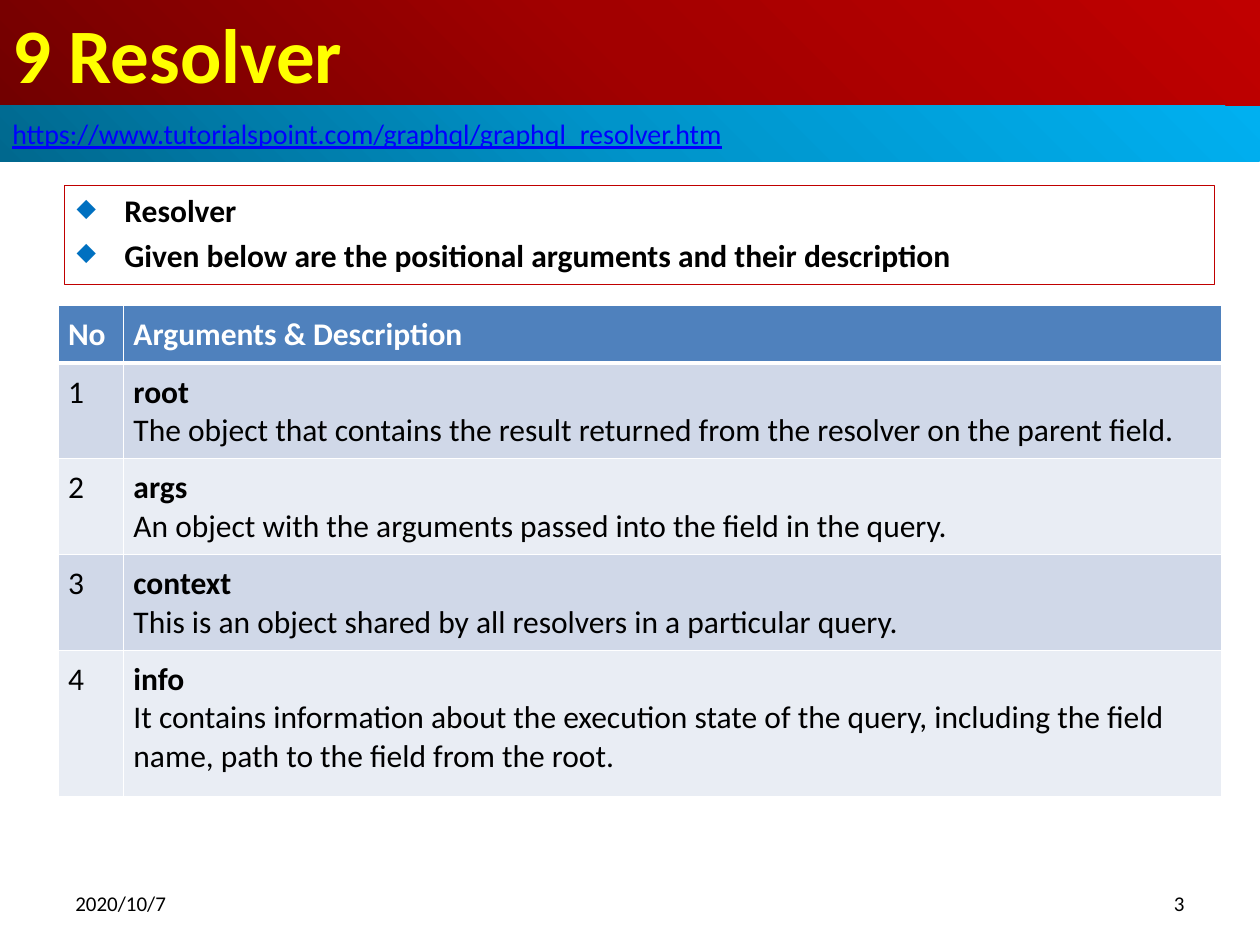
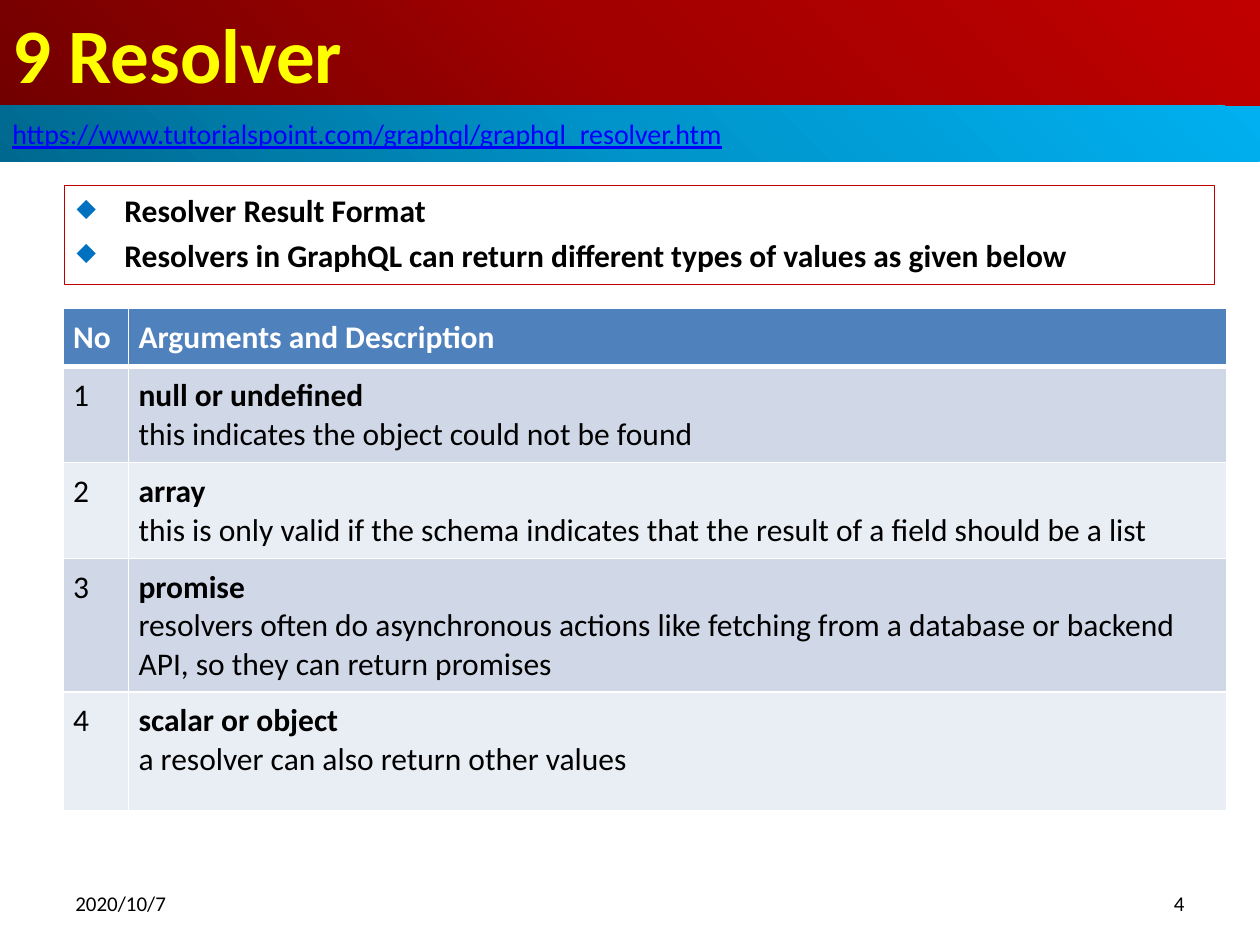
from dataclasses import dataclass

from lxml.etree import SubElement
from pptx import Presentation
from pptx.dml.color import RGBColor
from pptx.enum.shapes import MSO_SHAPE
from pptx.enum.text import MSO_ANCHOR, PP_ALIGN
from pptx.oxml import parse_xml
from pptx.oxml.ns import nsdecls, qn
from pptx.util import Inches, Pt

TITLE = "9 Resolver"
ADDRESS = "https://www.tutorialspoint.com/graphql/graphql_resolver.htm"
DATE = "2020/10/7"
FIRST_PAGE = 3

SLIDES = [
    {
        "points": ["Resolver",
                   "Given below are the positional arguments and their description"],
        "header": ("No", "Arguments & Description"),
        "rows": [
            ("root", "The object that contains the result returned from the resolver "
                     "on the parent field."),
            ("args", "An object with the arguments passed into the field in the query."),
            ("context", "This is an object shared by all resolvers in a particular query."),
            ("info", "It contains information about the execution state of the query, "
                     "including the field name, path to the field from the root."),
        ],
        "table_at": (0.46, 2.42),
        "row_heights": (0.45, 0.75, 0.75, 0.75, 1.16),
    },
    {
        "points": ["Resolver Result Format",
                   "Resolvers in GraphQL can return different types of values as given below"],
        "header": ("No", "Arguments and Description"),
        "rows": [
            ("null or undefined", "this indicates the object could not be found"),
            ("array", "this is only valid if the schema indicates that the result of "
                      "a field should be a list"),
            ("promise", "resolvers often do asynchronous actions like fetching from a "
                        "database or backend API, so they can return promises"),
            ("scalar or object", "a resolver can also return other values"),
        ],
        "table_at": (0.5, 2.45),
        "row_heights": (0.45, 0.74, 0.74, 1.03, 0.94),
    },
]


@dataclass(frozen=True)
class Theme:
    font: str = "Calibri"
    title_size: int = 44
    address_size: int = 16
    body_size: int = 18
    footer_size: int = 12
    title: str = "FFFF00"
    link: str = "0000FF"
    text: str = "000000"
    white: str = "FFFFFF"
    outline: str = "C00000"
    bullet: str = "0070C0"
    header_fill: str = "4F81BD"
    row_fills: tuple = ("D0D8E8", "E9EDF4")
    title_band: tuple = ("720000", "A20000", "C00000")
    address_band: tuple = ("00688E", "0094CA", "00B0F0")


THEME = Theme()
SLIDE_WIDTH, SLIDE_HEIGHT = 10, 7.5
TITLE_HEIGHT, ADDRESS_HEIGHT = 0.84, 0.44
POINTS_BOX = (0.51, 1.47, 9.13, 0.79)
POINT_INDENT = 0.38
FOOTER_MARGIN, FOOTER_TOP, FOOTER_WIDTH, FOOTER_HEIGHT = 0.5, 6.95, 2.33, 0.44
COLUMN_WIDTHS = (0.52, 8.72)
CELL_MARGIN = 0.08
THIN_BORDER, THICK_BORDER = 1, 3


def style(paragraph, size, color, bold=False, underline=None):
    font = paragraph.font
    font.name, font.size = THEME.font, Pt(size)
    font.bold, font.underline = bold, underline
    font.color.rgb = RGBColor.from_string(color)


def add_box(slide, box):
    shape = slide.shapes.add_shape(MSO_SHAPE.RECTANGLE, *map(Inches, box))
    shape.shadow.inherit = False
    shape.fill.background()
    shape.line.fill.background()
    return shape


def fill_from_corner(shape, colors):
    """Fill with a round gradient that starts at the bottom left corner."""
    stops = "".join(
        f'<a:gs pos="{index * 50000}"><a:srgbClr val="{color}"/></a:gs>'
        for index, color in enumerate(colors))
    gradient = parse_xml(
        f'<a:gradFill {nsdecls("a")} rotWithShape="1"><a:gsLst>{stops}</a:gsLst>'
        '<a:path path="circle"><a:fillToRect t="100000" r="100000"/></a:path></a:gradFill>')
    properties = shape.element.spPr
    properties.replace(properties.find(qn("a:noFill")), gradient)


def add_band(slide, top, height, colors, text, **text_style):
    band = add_box(slide, (0, top, SLIDE_WIDTH, height))
    fill_from_corner(band, colors)
    frame = band.text_frame
    frame.vertical_anchor = MSO_ANCHOR.MIDDLE
    paragraph = frame.paragraphs[0]
    paragraph.text = text
    paragraph.alignment = PP_ALIGN.LEFT
    style(paragraph, **text_style)


def add_bullet(paragraph):
    properties = paragraph._p.get_or_add_pPr()
    properties.set("marL", str(Inches(POINT_INDENT)))
    properties.set("indent", str(-Inches(POINT_INDENT)))
    color = SubElement(properties, qn("a:buClr"))
    SubElement(color, qn("a:srgbClr"), val=THEME.bullet)
    SubElement(properties, qn("a:buSzPct"), val="80000")
    SubElement(properties, qn("a:buChar"), char="◆")


def add_points(slide, points):
    box = add_box(slide, POINTS_BOX)
    box.line.color.rgb = RGBColor.from_string(THEME.outline)
    box.line.width = Pt(0.75)
    frame = box.text_frame
    frame.vertical_anchor = MSO_ANCHOR.TOP
    for index, point in enumerate(points):
        paragraph = frame.add_paragraph() if index else frame.paragraphs[0]
        paragraph.text = point
        add_bullet(paragraph)
        paragraph.alignment = PP_ALIGN.LEFT
        if index:
            paragraph.space_before = Pt(THEME.body_size * 0.2)
        style(paragraph, THEME.body_size, THEME.text, bold=True)


def add_footer(slide, left, text, alignment):
    box = slide.shapes.add_textbox(
        *map(Inches, (left, FOOTER_TOP, FOOTER_WIDTH, FOOTER_HEIGHT)))
    frame = box.text_frame
    frame.word_wrap = True
    frame.vertical_anchor = MSO_ANCHOR.MIDDLE
    paragraph = frame.paragraphs[0]
    paragraph.text = text
    paragraph.alignment = alignment
    style(paragraph, THEME.footer_size, THEME.text)


def set_borders(cell, top, bottom):
    properties = cell._tc.get_or_add_tcPr()
    widths = {"L": THIN_BORDER, "R": THIN_BORDER, "T": top, "B": bottom}
    for side, width in widths.items():
        line = SubElement(properties, qn(f"a:ln{side}"), w=str(Pt(width)))
        fill = SubElement(line, qn("a:solidFill"))
        SubElement(fill, qn("a:srgbClr"), val=THEME.white)


def fill_cell(cell, row_index, lines):
    """Write (text, bold) lines and give the cell the look of its row."""
    is_header = row_index == 0
    set_borders(cell,
                top=THICK_BORDER if row_index == 1 else THIN_BORDER,
                bottom=THICK_BORDER if is_header else THIN_BORDER)
    cell.fill.solid()
    cell.fill.fore_color.rgb = RGBColor.from_string(
        THEME.header_fill if is_header else THEME.row_fills[(row_index - 1) % 2])
    cell.margin_left = cell.margin_right = Inches(CELL_MARGIN)
    cell.margin_top = cell.margin_bottom = Inches(CELL_MARGIN)
    frame = cell.text_frame
    for index, (text, bold) in enumerate(lines):
        paragraph = frame.add_paragraph() if index else frame.paragraphs[0]
        paragraph.text = text
        style(paragraph, THEME.body_size, THEME.white if is_header else THEME.text, bold)


def add_argument_table(slide, content):
    heights = content["row_heights"]
    left, top = content["table_at"]
    table = slide.shapes.add_table(
        len(heights), len(COLUMN_WIDTHS),
        *map(Inches, (left, top, sum(COLUMN_WIDTHS), sum(heights)))).table
    for column, width in zip(table.columns, COLUMN_WIDTHS):
        column.width = Inches(width)
    for row, height in zip(table.rows, heights):
        row.height = Inches(height)
    for column_index, label in enumerate(content["header"]):
        fill_cell(table.cell(0, column_index), 0, [(label, True)])
    for number, (name, description) in enumerate(content["rows"], start=1):
        fill_cell(table.cell(number, 0), number, [(str(number), False)])
        fill_cell(table.cell(number, 1), number, [(name, True), (description, False)])


def add_resolver_slide(presentation, content, page):
    slide = presentation.slides.add_slide(presentation.slide_layouts[6])
    add_band(slide, 0, TITLE_HEIGHT, THEME.title_band, TITLE,
             size=THEME.title_size, color=THEME.title, bold=True)
    add_points(slide, content["points"])
    add_band(slide, TITLE_HEIGHT, ADDRESS_HEIGHT, THEME.address_band, ADDRESS,
             size=THEME.address_size, color=THEME.link, underline=True)
    add_footer(slide, FOOTER_MARGIN, DATE, PP_ALIGN.LEFT)
    add_footer(slide, SLIDE_WIDTH - FOOTER_MARGIN - FOOTER_WIDTH, str(page), PP_ALIGN.RIGHT)
    add_argument_table(slide, content)


def main():
    presentation = Presentation()
    presentation.slide_width = Inches(SLIDE_WIDTH)
    presentation.slide_height = Inches(SLIDE_HEIGHT)
    for page, content in enumerate(SLIDES, start=FIRST_PAGE):
        add_resolver_slide(presentation, content, page)
    presentation.save("out.pptx")


if __name__ == "__main__":
    main()
